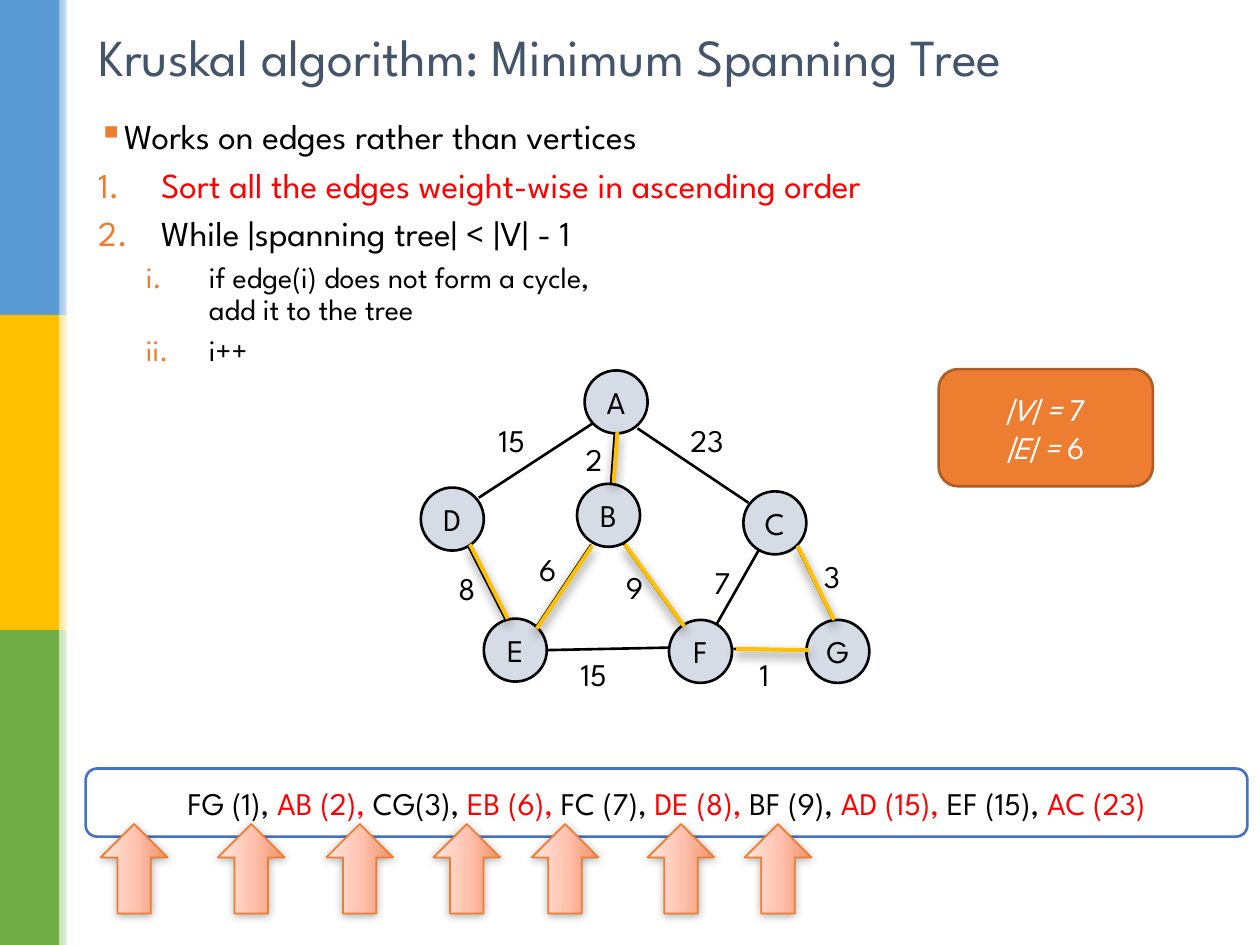
from lxml import etree
from pptx import Presentation
from pptx.dml.color import RGBColor
from pptx.enum.shapes import MSO_CONNECTOR as CONN, MSO_SHAPE as SHAPE
from pptx.enum.text import MSO_ANCHOR as ANCHOR, PP_ALIGN as ALIGN
from pptx.oxml import parse_xml
from pptx.oxml.ns import nsdecls, qn
from pptx.util import Inches, Pt

FONT = "League Spartan"
BLACK, WHITE, RED, ORANGE, GOLD = "000000", "FFFFFF", "FF0000", "ED7D31", "FFC000"

# Top to bottom: band colour, colour of the fading strip beside it
BANDS = [("5B9BD5", "9DC3E6"), (GOLD, "FFE699"), ("70AD47", "C5E0B4")]

# Text, level, bullet tag, bullet attributes, left indent, hanging, size, colour
NUMBER = ("a:buAutoNum", {"type": "arabicPeriod"})
ROMAN = ("a:buAutoNum", {"type": "romanLcPeriod"})
STEPS = [
    ("Works on edges rather than vertices", 0, ("a:buChar", {"char": "▪"}), 0.19, 0.19, 20, BLACK),
    ("Sort all the edges weight-wise in ascending order", 0, NUMBER, 0.5, 0.5, 20, RED),
    ("While |spanning tree| < |V| - 1", 0, NUMBER, 0.5, 0.5, 20, BLACK),
    ("if edge(i) does not form a cycle,\vadd it to the tree", 1, ROMAN, 0.88, 0.5, 17, BLACK),
    ("i++", 1, ROMAN, 0.88, 0.5, 17, BLACK),
]

NODE_SIZE = 0.5
NODES = {"A": (4.64, 2.94), "B": (4.58, 3.84), "C": (5.9, 3.9), "D": (3.34, 3.87),
         "E": (3.84, 4.91), "F": (5.31, 4.92), "G": (6.4, 4.92)}

# Edge: line ends, weight, left and top of the weight label
EDGES = {
    "AD": ((4.72, 3.35, 3.8, 3.95), 15, (3.86, 3.29)),
    "AC": ((5.06, 3.4, 5.94, 3.99), 23, (5.38, 3.29)),
    "AB": ((4.88, 3.44, 4.85, 3.84), 2, (4.55, 3.44)),
    "DE": ((3.71, 4.32, 4.01, 4.91), 8, (3.54, 4.47)),
    "EB": ((4.69, 4.32, 4.25, 4.98), 6, (4.18, 4.32)),
    "BF": ((5.41, 4.95, 4.94, 4.3), 9, (4.87, 4.46)),
    "FC": ((6.02, 4.37, 5.69, 4.95), 7, (5.57, 4.42)),
    "CG": ((6.32, 4.32, 6.61, 4.91), 3, (6.44, 4.37)),
    "EF": ((5.31, 5.14, 4.33, 5.16), 15, (4.51, 5.15)),
    "FG": ((6.4, 5.16, 5.82, 5.15), 1, (5.93, 5.15)),
}
# Tree edges lie slightly beside the plain ones
TREE_OFFSETS = {"EB": (0.01, 0.01), "FG": (0.02, 0), "AB": (0.02, -0.01),
                "CG": (0.01, 0.01), "DE": (0.02, 0), "BF": (0.02, 0.02)}

SORTED_EDGES = ["FG (1), ", "AB (2), ", "CG(3), ", "EB (6), ", "FC (7), ",
                "DE (8), ", "BF (9), ", "AD (15), ", "EF (15), ", "AC (23)"]
ARROW_LEFTS = [0.71, 1.64, 2.5, 3.35, 4.13, 5.05, 5.82]
ARROW_STOPS = [(0, "EF9166"), (48, "FFC2AF"), (100, "FFE6DF")]


def rgb(color):
    return RGBColor.from_string(color)


def add_run(p, text, size=18, color=BLACK, italic=False):
    r = p.add_run()
    r.text = text
    for name, value in {"name": FONT, "size": Pt(size), "italic": italic}.items():
        setattr(r.font, name, value)
    r.font.color.rgb = rgb(color)


def set_gradient(sp, stops, angle):
    """Fill with (percent, colour) stops; the angle runs clockwise in degrees."""
    sp.fill.background()
    stop_xml = "".join(f'<a:gs pos="{pos * 1000}"><a:srgbClr val="{color}"/></a:gs>'
                       for pos, color in stops)
    spPr = sp._element.spPr
    spPr.replace(spPr.find(qn("a:noFill")), parse_xml(
        f'<a:gradFill {nsdecls("a")} rotWithShape="1"><a:gsLst>{stop_xml}</a:gsLst>'
        f'<a:lin ang="{angle * 60000}" scaled="0"/></a:gradFill>'))


def set_shadow(sp, alpha=0, blur=0, dist=0):
    """Give a downward black shadow, or none when alpha is 0."""
    spPr = sp._element.spPr
    for old in spPr.findall(qn("a:effectLst")):
        spPr.remove(old)
    effects = etree.SubElement(spPr, qn("a:effectLst"))
    if alpha:
        shadow = etree.SubElement(effects, qn("a:outerShdw"), blurRad=str(Pt(blur)),
                                  dist=str(Pt(dist)), dir="5400000", rotWithShape="0")
        color = etree.SubElement(shadow, qn("a:srgbClr"), val=BLACK)
        etree.SubElement(color, qn("a:alpha"), val=str(alpha * 1000))


def add_box(s, kind, box, fill=WHITE, line=None, width=1.5):
    sp = s.shapes.add_shape(kind, *map(Inches, box))
    sp.shadow.inherit = False
    sp.fill.solid()
    sp.fill.fore_color.rgb = rgb(fill)
    if line:
        sp.line.color.rgb = rgb(line)
        sp.line.width = Pt(width)
    else:
        sp.line.fill.background()
    sp.text_frame.vertical_anchor = ANCHOR.MIDDLE
    return sp


def add_line(s, ends, color, width):
    line = s.shapes.add_connector(CONN.STRAIGHT, *map(Inches, ends))
    line.line.color.rgb = rgb(color)
    line.line.width = Pt(width)
    set_shadow(line)
    return line


def add_side_bands(s):
    height = 7.5 / len(BANDS)
    for i, (color, pale) in enumerate(BANDS):
        add_box(s, SHAPE.RECTANGLE, (0, i * height, 0.47, height), color)
        strip = add_box(s, SHAPE.RECTANGLE, (0.47, i * height, 0.12, height))
        set_gradient(strip, [(0, pale), (100, WHITE)], 0)
    add_box(s, SHAPE.RECTANGLE, (0.53, 0, 0.04, 7.5))


def add_title(s, text):
    title = s.shapes.title
    box = {"left": 0.68, "top": 0.13, "width": 8.85, "height": 0.68}
    for name, value in box.items():
        setattr(title, name, Inches(value))
    tf = title.text_frame
    tf.vertical_anchor = ANCHOR.MIDDLE
    p = tf.paragraphs[0]
    p.alignment, p.line_spacing = ALIGN.LEFT, 0.9
    add_run(p, text, 29.7, "44546A")


def add_steps(s):
    tf = s.shapes.add_textbox(*map(Inches, (0.68, 0.9, 8.92, 6.42))).text_frame
    tf.word_wrap = True
    for i, (text, level, bullet, indent, hanging, size, color) in enumerate(STEPS):
        p = tf.add_paragraph() if i else tf.paragraphs[0]
        p.level, p.line_spacing, p.space_before = level, 0.9, Pt(size * 0.3)
        pPr = p._p.get_or_add_pPr()
        pPr.set("marL", str(Inches(indent)))
        pPr.set("indent", str(-Inches(hanging)))
        bullet_color = etree.SubElement(pPr, qn("a:buClr"))
        etree.SubElement(bullet_color, qn("a:srgbClr"), val=ORANGE)
        tag, attributes = bullet
        etree.SubElement(pPr, qn(tag), attributes)
        for j, part in enumerate(text.split("\v")):
            if j:
                p.add_line_break()
            add_run(p, part, size, color)


def add_graph(s):
    for name, (ends, _, _) in EDGES.items():
        add_line(s, ends, BLACK, 1 if name == "EB" else 1.5)
    for name, place in NODES.items():
        node = add_box(s, SHAPE.OVAL, (*place, NODE_SIZE, NODE_SIZE), "D6DCE5", BLACK)
        node.text_frame.word_wrap = False
        add_run(node.text_frame.paragraphs[0], name)
    for name, (dx, dy) in TREE_OFFSETS.items():
        x1, y1, x2, y2 = EDGES[name][0]
        line = add_line(s, (x1 + dx, y1 + dy, x2 + dx, y2 + dy), GOLD, 2.25)
        set_shadow(line, 60, 6, 3)
    for _, weight, place in EDGES.values():
        width = 0.34 if weight < 10 else 0.48
        tf = s.shapes.add_textbox(*map(Inches, (*place, width, 0.4))).text_frame
        tf.word_wrap = False
        add_run(tf.paragraphs[0], str(weight))


def add_sorted_edges(s):
    box = add_box(s, SHAPE.ROUNDED_RECTANGLE, (0.68, 6.1, 9.22, 0.54), line="4472C4")
    p = box.text_frame.paragraphs[0]
    p.alignment = ALIGN.CENTER
    for i, text in enumerate(SORTED_EDGES):
        add_run(p, text, color=RED if i % 2 else BLACK)
    for left in ARROW_LEFTS:
        arrow = add_box(s, SHAPE.RIGHT_ARROW, (left, 6.63, 0.71, 0.53), line=ORANGE, width=1)
        arrow.rotation = 270
        set_gradient(arrow, ARROW_STOPS, 270)
        set_shadow(arrow, 32, 5, 1)


def add_counts(s):
    tf = add_box(s, SHAPE.ROUNDED_RECTANGLE, (7.45, 2.93, 1.7, 0.93), ORANGE, "AF5C24").text_frame
    for i, (label, count) in enumerate([("|V| = ", "7"), ("|E| = ", "6")]):
        p = tf.add_paragraph() if i else tf.paragraphs[0]
        p.alignment = ALIGN.CENTER
        add_run(p, label, color=WHITE, italic=True)
        add_run(p, count, color=WHITE)


def main():
    prs = Presentation()
    prs.slide_width, prs.slide_height = Inches(10), Inches(7.5)
    s = prs.slides.add_slide(prs.slide_layouts[5])
    add_side_bands(s)
    add_title(s, "Kruskal algorithm: Minimum Spanning Tree")
    add_steps(s)
    add_graph(s)
    add_sorted_edges(s)
    add_counts(s)
    prs.save("out.pptx")


if __name__ == "__main__":
    main()
